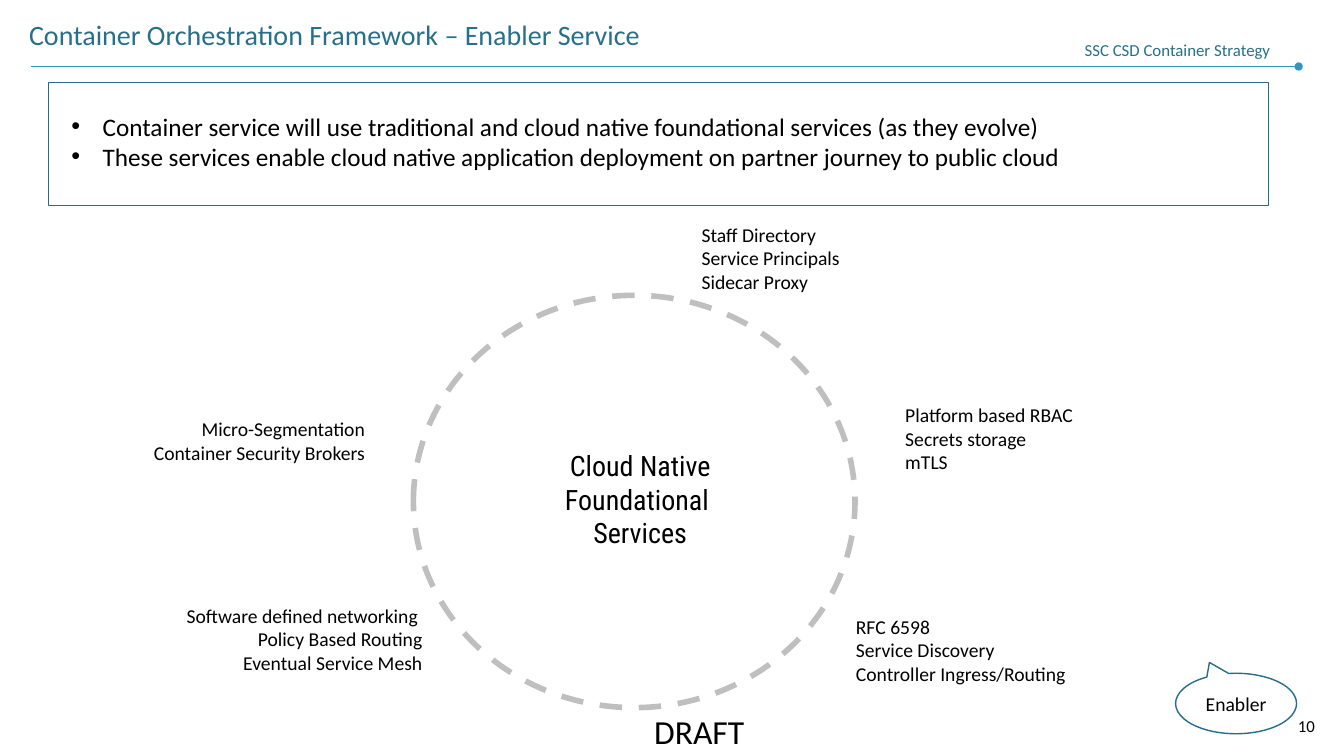
from lxml import etree
from pptx import Presentation
from pptx.dml.color import RGBColor
from pptx.enum.dml import MSO_LINE
from pptx.enum.shapes import MSO_CONNECTOR, MSO_SHAPE
from pptx.enum.text import MSO_ANCHOR, MSO_AUTO_SIZE, PP_ALIGN
from pptx.oxml.ns import qn
from pptx.util import Inches, Pt

BLACK, WHITE, TEAL = "000000", "FFFFFF", "276F8B"
FRAME, RULE, RING = "266D8A", "3494BA", "BFBFBF"
LEFT, CENTER, RIGHT = PP_ALIGN.LEFT, PP_ALIGN.CENTER, PP_ALIGN.RIGHT

TITLE = "Container Orchestration Framework – Enabler Service"
DECK = "SSC CSD Container Strategy"
MESSAGES = [
    "Container service will use traditional and cloud native foundational services (as they evolve)",
    "These services enable cloud native application deployment on partner journey to public cloud",
]
HUB = ["Cloud Native Foundational ", "Services"]
SERVICES = [  # left, top, width, alignment, lines
    (6.86, 2.16, 1.59, LEFT, ["Staff Directory", "Service Principals", "Sidecar Proxy"]),
    (8.88, 3.95, 1.89, LEFT, ["Platform based RBAC", "Secrets storage", "mTLS"]),
    (8.39, 6.05, 2.31, LEFT, ["RFC 6598", "Service Discovery", "Controller Ingress/Routing"]),
    (1.72, 5.94, 2.57, RIGHT,
     ["Software defined networking ", "Policy Based Routing", "Eventual Service Mesh"]),
    (1.34, 4.09, 2.38, RIGHT, ["Micro-Segmentation", "Container Security Brokers"]),
]

prs = Presentation()
prs.slide_width, prs.slide_height = Inches(13.33), Inches(7.5)
slide = prs.slides.add_slide(prs.slide_layouts[6])
shapes = slide.shapes


def rgb(value):
    return RGBColor.from_string(value)


def write(frame, lines, size, color=BLACK, font="Calibri", align=LEFT, bullet=False, **frame_format):
    """Fill a text frame with one paragraph per line."""
    for name, value in frame_format.items():
        setattr(frame, name, value)
    for i, line in enumerate(lines):
        paragraph = frame.paragraphs[0] if i == 0 else frame.add_paragraph()
        paragraph.text, paragraph.alignment = line, align
        if bullet:
            props = paragraph._p.get_or_add_pPr()
            props.set("marL", str(Inches(0.31)))
            props.set("indent", str(-Inches(0.31)))
            etree.SubElement(props, qn("a:buFont")).set("typeface", "Arial")
            etree.SubElement(props, qn("a:buChar")).set("char", "•")
        run_font = paragraph.runs[0].font
        for name, value in {"size": Pt(size), "name": font}.items():
            setattr(run_font, name, value)
        run_font.color.rgb = rgb(color)


def label(box, lines, size, wrap=False, grow=True, **style):
    frame = shapes.add_textbox(*map(Inches, box)).text_frame
    fit = MSO_AUTO_SIZE.SHAPE_TO_FIT_TEXT if grow else MSO_AUTO_SIZE.NONE
    write(frame, lines, size, word_wrap=wrap, auto_size=fit, **style)
    return frame


def outline(kind, box, color=None, width=1, fill=None):
    shape = shapes.add_shape(kind, *map(Inches, box))
    shape.shadow.inherit = False
    if fill:
        shape.fill.solid()
        shape.fill.fore_color.rgb = rgb(fill)
    else:
        shape.fill.background()
    if color:
        shape.line.color.rgb = rgb(color)
        shape.line.width = Pt(width)
    else:
        shape.line.fill.background()
    return shape


# Header and footer
rule = shapes.add_connector(MSO_CONNECTOR.STRAIGHT, *map(Inches, (0.31, 0.66, 12.88, 0.66)))
rule.line.color.rgb = rgb(RULE)
rule.line.width = Pt(0.5)
etree.SubElement(rule.line._get_or_add_ln(), qn("a:tailEnd")).set("type", "oval")
etree.SubElement(rule._element.spPr, qn("a:effectLst"))
label((12.61, 7, 0.53, 0.4), ["10"], 12, wrap=True, grow=False, align=RIGHT,
      vertical_anchor=MSO_ANCHOR.MIDDLE)
label((6.39, 7, 1.1, 0.5), ["DRAFT"], 24)
title = label((0.19, 0.16, 11.5, 0.5), [TITLE], 20, wrap=True, grow=False, color=TEAL)
title.paragraphs[0].line_spacing = 0.9
label((10.66, 0.35, 2.06, 0.3), [DECK], 12, color=TEAL)

# Key messages
label((0.61, 1.05, 12.1, 0.71), MESSAGES, 18, wrap=True, bullet=True)
outline(MSO_SHAPE.RECTANGLE, (0.48, 0.82, 12.1, 1.22), FRAME)

# Ring of services around the hub
label((5.11, 4.4, 2.48, 1.11), HUB, 20, wrap=True, font="Roboto Condensed", align=CENTER)
ring = outline(MSO_SHAPE.OVAL, (4.1, 2.93, 4.38, 4.09), RING, 4)
ring.line.dash_style = MSO_LINE.DASH
for left, top, width, align, lines in SERVICES:
    height = 0.1 + 0.236 * len(lines)
    label((left, top, width, height), lines, 14, align=align)

# Enabler callout
callout = outline(MSO_SHAPE.OVAL_CALLOUT, (11.66, 6.68, 1.2, 0.6), FRAME, fill=WHITE)
callout.adjustments[0], callout.adjustments[1] = -0.22, -0.68
enabler = outline(MSO_SHAPE.RECTANGLE, (11.86, 6.82, 0.81, 0.34), fill=WHITE)
write(enabler.text_frame, ["Enabler"], 14, word_wrap=False,
      auto_size=MSO_AUTO_SIZE.SHAPE_TO_FIT_TEXT, vertical_anchor=MSO_ANCHOR.TOP)

prs.save("out.pptx")
